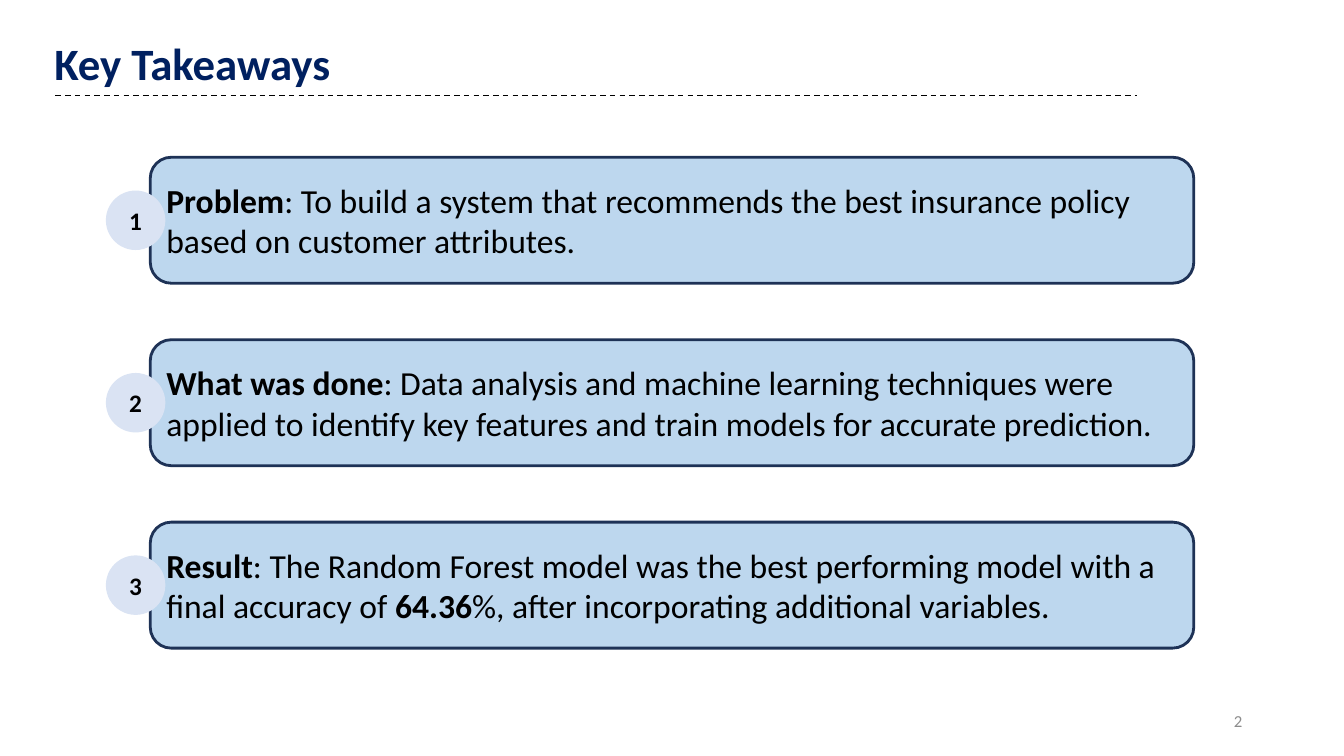
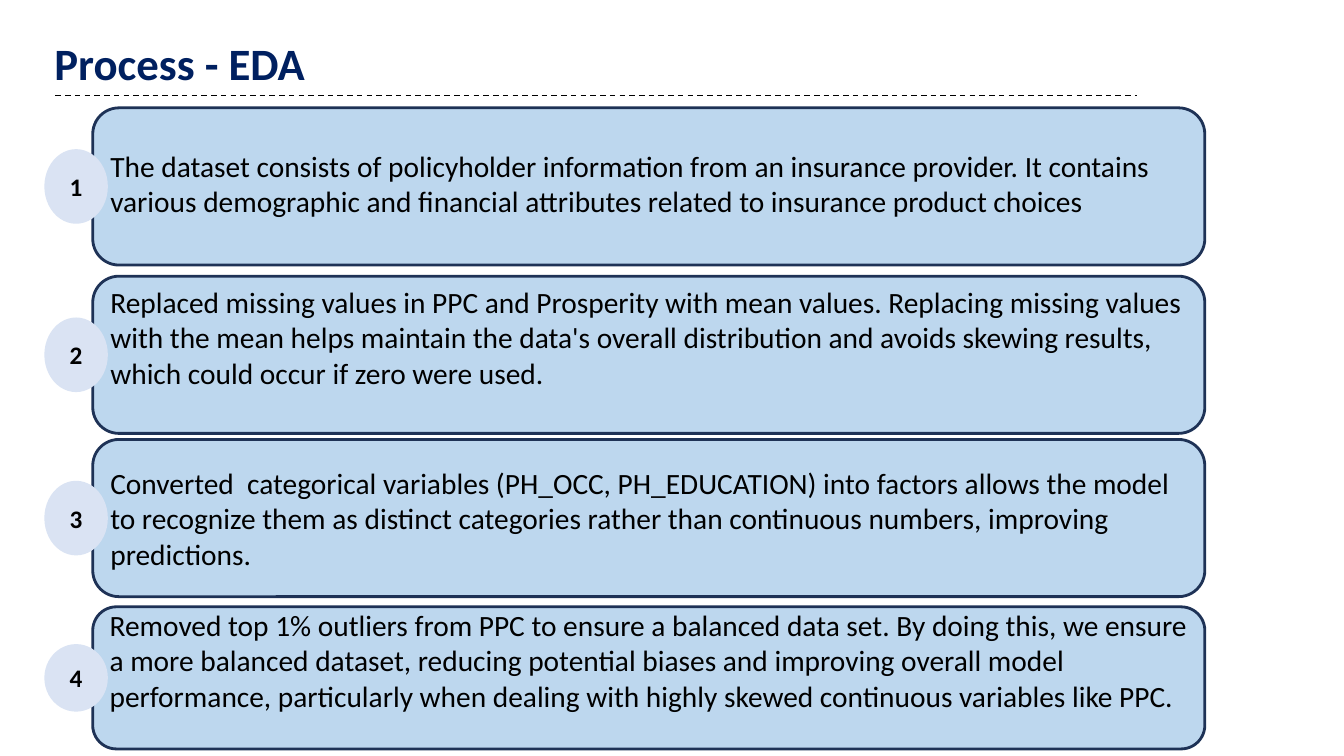
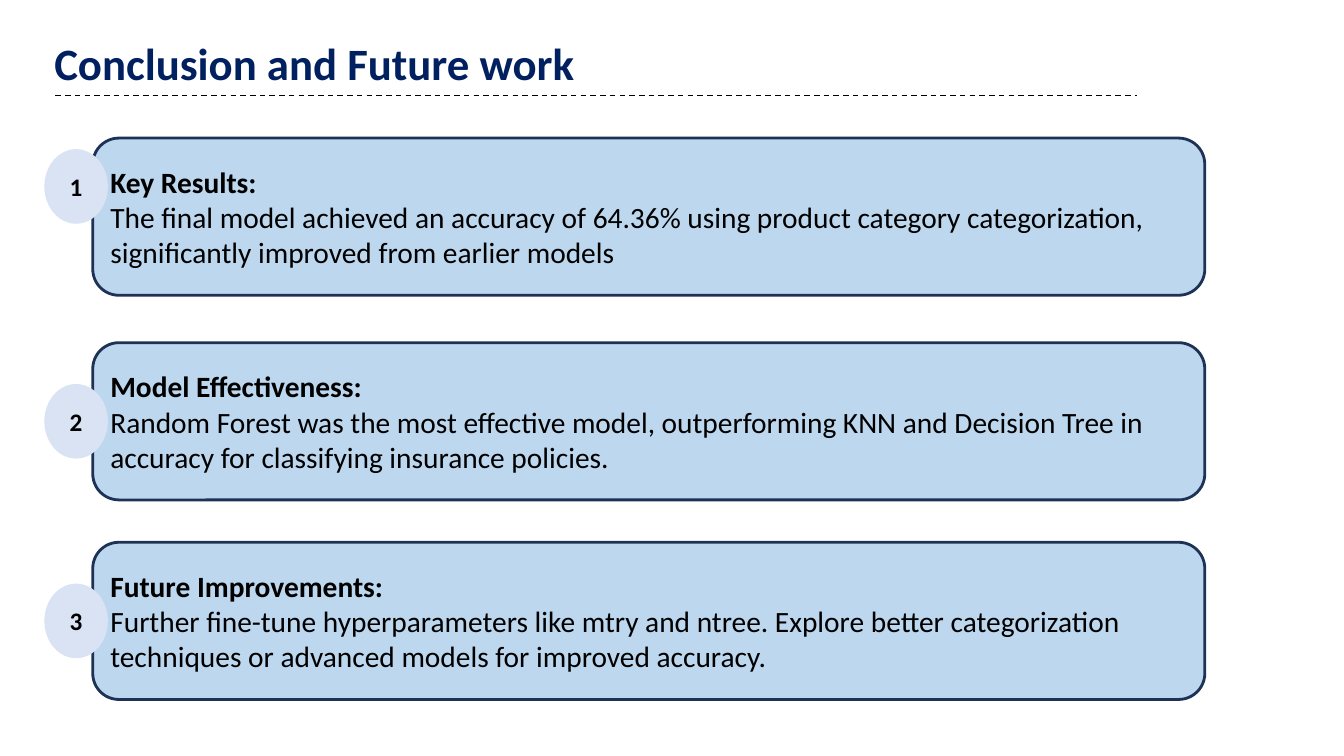
from dataclasses import dataclass

from lxml import etree
from pptx import Presentation
from pptx.dml.color import RGBColor
from pptx.enum.dml import MSO_LINE
from pptx.enum.shapes import MSO_CONNECTOR, MSO_SHAPE
from pptx.enum.text import MSO_ANCHOR, PP_ALIGN
from pptx.oxml.ns import qn
from pptx.util import Pt

PX = 9144
BLANK_LAYOUT = 6
CARD_SHAPE = MSO_SHAPE.FLOWCHART_ALTERNATE_PROCESS
OVAL = MSO_SHAPE.OVAL
STRAIGHT = MSO_CONNECTOR.STRAIGHT
DASH = MSO_LINE.DASH
TOP, MIDDLE = MSO_ANCHOR.TOP, MSO_ANCHOR.MIDDLE
LEFT, CENTER, RIGHT = PP_ALIGN.LEFT, PP_ALIGN.CENTER, PP_ALIGN.RIGHT


@dataclass(frozen=True)
class Theme:
    """Colours, font and type sizes shared by all slides."""
    font: str = "Calibri"
    navy: str = "002060"
    ink: str = "000000"
    grey: str = "8C8C8C"
    card_fill: str = "BDD7EE"
    card_line: str = "1E3256"
    badge_fill: str = "DAE3F3"
    title_size: int = 32
    takeaway_size: int = 24
    body_size: int = 21
    badge_size: int = 18
    footer_size: int = 12


THEME = Theme()


def write_text(shape, paragraphs, *, size, color=THEME.ink, bold=False,
               align=LEFT, anchor=MIDDLE):
    """Fill a shape with paragraphs, each a list of strings or (text, bold) runs."""
    frame = shape.text_frame
    frame.word_wrap = True
    frame.vertical_anchor = anchor
    for index, runs in enumerate(paragraphs):
        paragraph = frame.add_paragraph() if index else frame.paragraphs[0]
        paragraph.alignment = align
        for item in runs:
            text, strong = (item, bold) if isinstance(item, str) else item
            run = paragraph.add_run()
            run.text = text
            run.font.name = THEME.font
            run.font.size = Pt(size)
            run.font.bold = strong
            run.font.color.rgb = RGBColor.from_string(color)


class Deck:
    """Holds the presentation, the current slide and the element methods."""

    def __init__(self, width, height):
        self.presentation = Presentation()
        self.presentation.slide_width = width * PX
        self.presentation.slide_height = height * PX
        self.slide = None

    def start_slide(self, title, title_width=1050):
        """Add a blank slide with its title and dashed rule."""
        layout = self.presentation.slide_layouts[BLANK_LAYOUT]
        self.slide = self.presentation.slides.add_slide(layout)
        self.text_box(44, 31, title_width, 64, title, size=THEME.title_size,
                      color=THEME.navy, bold=True, anchor=TOP)
        self.rule(55, 95, 1128)

    def text_box(self, left, top, width, height, text, **text_format):
        """Add a text box holding one paragraph."""
        box = self.slide.shapes.add_textbox(left * PX, top * PX, width * PX, height * PX)
        write_text(box, [[text]], **text_format)

    def rule(self, left, top, right):
        """Add a horizontal dashed line."""
        line = self.slide.shapes.add_connector(
            STRAIGHT, left * PX, top * PX, right * PX, top * PX)
        line.line.color.rgb = RGBColor.from_string(THEME.ink)
        line.line.width = Pt(1)
        line.line.dash_style = DASH
        etree.SubElement(line._element.spPr, qn("a:effectLst"))

    def filled_shape(self, kind, left, top, width, height, fill):
        """Add a flat shape without outline or shadow."""
        shape = self.slide.shapes.add_shape(
            kind, left * PX, top * PX, width * PX, height * PX)
        shape.shadow.inherit = False
        shape.fill.solid()
        shape.fill.fore_color.rgb = RGBColor.from_string(fill)
        shape.line.fill.background()
        return shape

    def card(self, left, top, width, height, paragraphs, size, lift=0):
        """Add a rounded card; lift is extra room below the text."""
        card = self.filled_shape(CARD_SHAPE, left, top, width, height, THEME.card_fill)
        card.line.color.rgb = RGBColor.from_string(THEME.card_line)
        card.line.width = Pt(2)
        card.text_frame.margin_bottom = (5 + lift) * PX
        write_text(card, paragraphs, size=size)

    def badge(self, left, middle, width, height, number):
        """Add a numbered oval centred on a height."""
        badge = self.filled_shape(OVAL, left, middle - height // 2, width, height,
                                  THEME.badge_fill)
        write_text(badge, [[str(number)]], size=THEME.badge_size, bold=True, align=CENTER)

    def wide_card(self, number, top, paragraphs, height=156, badge_height=74,
                  lift=0, badge_rise=0):
        """Add a full-width card with its numbered badge."""
        self.card(92, top, 1103, height, paragraphs, THEME.body_size, lift)
        self.badge(44, top + height // 2 - badge_rise, 63, badge_height, number)

    def page_number(self, number):
        """Add the page number at the lower right."""
        self.text_box(942, 695, 300, 40, str(number), size=THEME.footer_size,
                      color=THEME.grey, align=RIGHT)


def add_takeaways(deck):
    """Build the key takeaways slide."""
    deck.start_slide("Key Takeaways", title_width=500)
    takeaways = [
        [("Problem", True), ": To build a system that recommends the best insurance "
         "policy based on customer attributes."],
        [("What was done", True), ": Data analysis and machine learning techniques were "
         "applied to identify key features and train models for accurate prediction."],
        [("Result", True), ": The Random Forest model was the best performing model with "
         "a final accuracy of ", ("64.36", True),
         "%, after incorporating additional variables."],
    ]
    card_height = 125
    for index, runs in enumerate(takeaways):
        top = 156 + 181 * index
        deck.card(149, top, 1035, card_height, [runs], THEME.takeaway_size)
        deck.badge(105, top + card_height // 2, 59, 59, index + 1)
    deck.page_number(2)


def add_process(deck):
    """Build the exploratory analysis slide."""
    deck.start_slide("Process - EDA")
    steps = [
        (107, "The dataset consists of policyholder information from an insurance "
         "provider. It contains various demographic and financial attributes related to "
         "insurance product choices", {"lift": 6}),
        (274, "Replaced missing values in PPC and Prosperity with mean values. Replacing "
         "missing values with the mean helps maintain the data's overall distribution "
         "and avoids skewing results, which could occur if zero were used.", {"lift": 35}),
        (436, "Converted  categorical variables (PH_OCC, PH_EDUCATION) into factors "
         "allows the model to recognize them as distinct categories rather than "
         "continuous numbers, improving predictions.", {}),
        (602, "Removed top 1% outliers from PPC to ensure a balanced data set. By doing "
         "this, we ensure a more balanced dataset, reducing potential biases and "
         "improving overall model performance, particularly when dealing with highly "
         "skewed continuous variables like PPC.",
         {"height": 141, "badge_height": 67, "lift": 35}),
    ]
    for number, (top, text, options) in enumerate(steps, start=1):
        deck.wide_card(number, top, [[text]], **options)


def add_conclusion(deck):
    """Build the conclusion slide."""
    deck.start_slide("Conclusion and Future work")
    conclusions = [
        (137, 30, "Key Results:", "The final model achieved an accuracy of 64.36% using "
         "product category categorization, significantly improved from earlier models"),
        (340, 0, "Model Effectiveness:", "Random Forest was the most effective model, "
         "outperforming KNN and Decision Tree in accuracy for classifying insurance "
         "policies."),
        (538, 0, "Future Improvements:", "Further fine-tune hyperparameters like mtry and "
         "ntree. Explore better categorization techniques or advanced models for "
         "improved accuracy."),
    ]
    for number, (top, rise, heading, text) in enumerate(conclusions, start=1):
        deck.wide_card(number, top, [[(heading, True)], [text]], badge_rise=rise)


def main():
    """Build and save the presentation."""
    deck = Deck(1333, 750)
    add_takeaways(deck)
    add_process(deck)
    add_conclusion(deck)
    deck.presentation.save("out.pptx")


if __name__ == "__main__":
    main()
